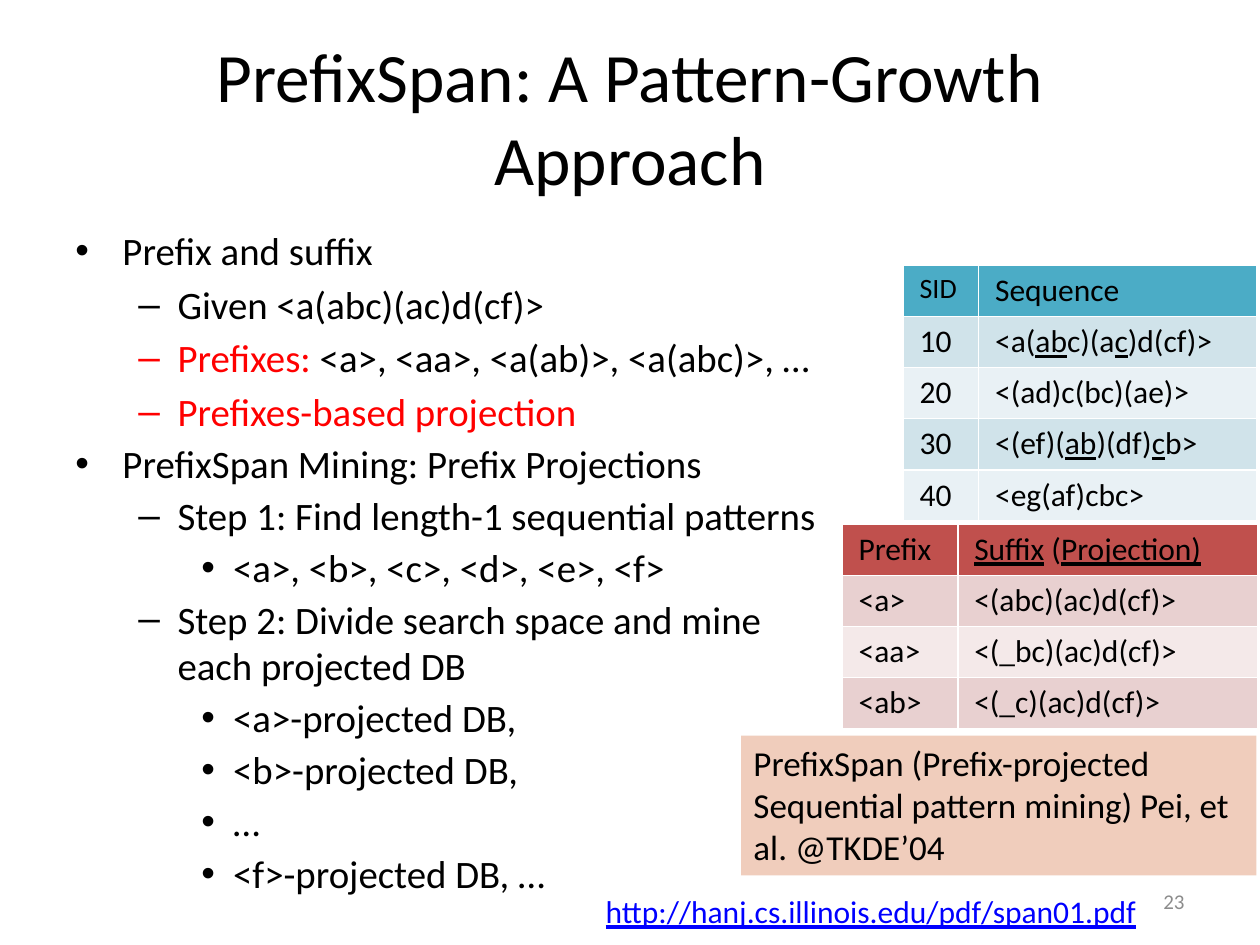
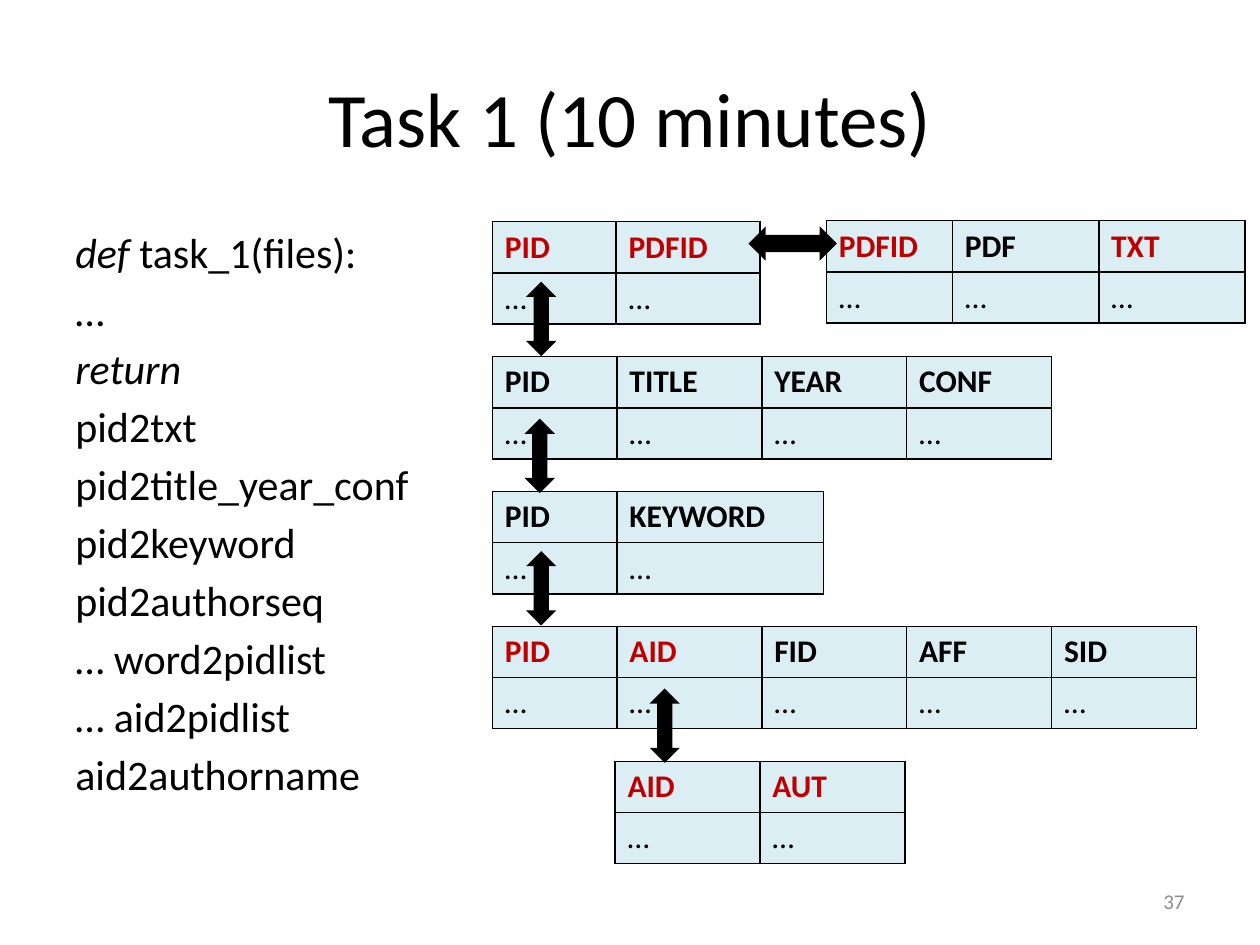
import pptx
import pptx.dml.color
import pptx.enum.shapes
import pptx.enum.text
import pptx.oxml
import pptx.oxml.ns
import pptx.util
from lxml import etree

Cm, Pt = pptx.util.Cm, pptx.util.Pt
ALIGN = pptx.enum.text.PP_ALIGN
ANCHOR = pptx.enum.text.MSO_ANCHOR
SHAPE = pptx.enum.shapes.MSO_SHAPE

FONT = "Calibri"
COLORS = {
    "black": "000000", "white": "FFFFFF", "grey": "8C8C8C",
    "red": "FF0000", "dark_red": "C00000", "link": "0000FF",
    "teal": "4BACC6", "teal_band": "D0E3EA", "teal_light": "E9F1F5",
    "brick": "C0504D", "brick_band": "E8D0D0", "brick_light": "F4E9E9",
    "peach": "F0CDBC", "schema": "DBEEF4",
}
ROW_HEIGHT = 1.03
# Bullet, left margin and hanging indent (cm) of each outline level
LEVELS = [("•", 0.95, 0.95), ("–", 2.06, 0.79), ("•", 3.18, 0.64)]


def rgb(name):
    return pptx.dml.color.RGBColor.from_string(COLORS[name])


def add_run(p, text, size=18, color="black", bold=False, italic=False,
            underline=False):
    r = p.add_run()
    r.text = text
    f = r.font
    f.name, f.size, f.bold, f.italic = FONT, Pt(size), bold, italic
    f.underline = underline
    f.color.rgb = rgb(color)


def write(p, content, align=ALIGN.LEFT, before=0, **fmt):
    """Fill a paragraph with a string or with a list of (text, format) runs."""
    p.alignment = align
    p.space_before = Pt(before)
    runs = [(content, {})] if isinstance(content, str) else content
    for text, own in runs:
        add_run(p, text, **{**fmt, **own})


def add_text(s, box, paragraphs, anchor=ANCHOR.TOP, wrap=True, gap=0, **fmt):
    tf = s.shapes.add_textbox(*map(Cm, box)).text_frame
    tf.word_wrap = wrap
    tf.vertical_anchor = anchor
    for i, content in enumerate(paragraphs):
        p = tf.paragraphs[0] if i == 0 else tf.add_paragraph()
        write(p, content, before=gap if i else 0, **fmt)
    return tf


def set_bullet(p, level):
    char, margin, hang = LEVELS[level]
    pPr = p._p.get_or_add_pPr()
    pPr.set("marL", str(Cm(margin)))
    pPr.set("indent", str(-Cm(hang)))
    font = etree.SubElement(pPr, pptx.oxml.ns.qn("a:buFont"))
    font.set("typeface", "Arial")
    etree.SubElement(pPr, pptx.oxml.ns.qn("a:buChar")).set("char", char)


def add_outline(s, box, items, size):
    """Items are (level, space before, content)."""
    tf = s.shapes.add_textbox(*map(Cm, box)).text_frame
    tf.word_wrap = True
    for i, (level, before, content) in enumerate(items):
        p = tf.paragraphs[0] if i == 0 else tf.add_paragraph()
        set_bullet(p, level)
        write(p, content, before=before if i else 0, size=size)


def set_borders(cell, color):
    tcPr = cell._tc.get_or_add_tcPr()
    for side in ("lnL", "lnR", "lnT", "lnB"):
        tcPr.append(pptx.oxml.parse_xml(
            f'<a:{side} {pptx.oxml.ns.nsdecls("a")} w="12700"><a:solidFill>'
            f'<a:srgbClr val="{COLORS[color]}"/></a:solidFill></a:{side}>'))


def add_table(s, left, top, widths, rows, fills, border, inset=0.25):
    frame = s.shapes.add_table(
        len(rows), len(widths), Cm(left), Cm(top), Cm(sum(widths)),
        Cm(ROW_HEIGHT * len(rows)))
    table = frame.table
    table.first_row = table.horz_banding = False
    for column, width in zip(table.columns, widths):
        column.width = Cm(width)
    for i, (row, fill) in enumerate(zip(rows, fills)):
        table.rows[i].height = Cm(ROW_HEIGHT)
        for j, content in enumerate(row):
            cell = table.cell(i, j)
            cell.margin_left = cell.margin_right = Cm(inset)
            set_borders(cell, border)
            cell.fill.solid()
            cell.fill.fore_color.rgb = rgb(fill)
            write(cell.text_frame.paragraphs[0], content)


def add_schema(s, left, top, widths, fields, keys=()):
    """A relation: bold field names, key fields in red, one row of dots."""
    header = [[(name, {"bold": True,
                       "color": "dark_red" if name in keys else "black"})]
              for name in fields]
    add_table(s, left, top, widths, [header, ["…"] * len(fields)],
              ["schema"] * 2, "black")


def add_solid(s, kind, box, fill):
    sp = s.shapes.add_shape(kind, *map(Cm, box))
    sp.shadow.inherit = False
    sp.fill.solid()
    sp.fill.fore_color.rgb = rgb(fill)
    sp.line.fill.background()
    return sp


def add_arrow(s, cx, cy, length=1.5, width=0.61, rotation=90):
    box = (cx - length / 2, cy - width / 2, length, width)
    add_solid(s, SHAPE.LEFT_RIGHT_ARROW, box, "black").rotation = rotation


def add_slide(prs, title, number, title_size=44):
    s = prs.slides.add_slide(prs.slide_layouts[6])
    add_text(s, (1.27, 0.76, 22.86, 3.18), [title], anchor=ANCHOR.MIDDLE,
             align=ALIGN.CENTER, size=title_size)
    add_text(s, (18.2, 17.65, 5.93, 1.02), [number], anchor=ANCHOR.MIDDLE,
             align=ALIGN.RIGHT, size=12, color="grey")
    return s


def prefixspan_slide(prs):
    s = add_slide(prs, "PrefixSpan: A Pattern-Growth Approach", "23", 39.6)
    red, under = {"color": "red"}, {"underline": True}

    # Outline
    add_outline(s, (1.27, 4.45, 15.7, 14.22), [
        (0, 0, "Prefix and suffix"),
        (1, 4, "Given <a(abc)(ac)d(cf)>"),
        (1, 4, [("Prefixes:", red),
                (" <a>, <aa>, <a(ab)>, <a(abc)>, …", {})]),
        (1, 4, [("Prefixes-based projection", red)]),
        (0, 3, "PrefixSpan Mining: Prefix Projections"),
        (1, 3, "Step 1: Find length-1 sequential patterns"),
        (2, 3, "<a>, <b>, <c>, <d>, <e>, <f>"),
        (1, 3, "Step 2: Divide search space and mine each projected DB"),
        (2, 3, "<a>-projected DB,"),
        (2, 3, "<b>-projected DB,"),
        (2, 3, "…"),
        (2, 3, "<f>-projected DB, …"),
    ], size=22.2)

    # Sequence database
    add_table(s, 18.21, 5.35, [1.52, 5.61], [
        [[("SID", {"size": 16})], "Sequence"],
        ["10", [("<a(", {}), ("ab", under), ("c)(a", {}), ("c", under),
                (")d(cf)>", {})]],
        ["20", "<(ad)c(bc)(ae)>"],
        ["30", [("<(ef)(", {}), ("ab", under), (")(df)", {}), ("c", under),
                ("b>", {})]],
        ["40", "<eg(af)cbc>"],
    ], ["teal"] + ["teal_band", "teal_light"] * 2, "white", inset=0.33)

    # Prefix projections
    add_table(s, 16.98, 10.57, [2.33, 6.05], [
        ["Prefix", [("Suffix", under), (" (", {}), ("Projection)", under)]],
        ["<a>", "<(abc)(ac)d(cf)>"],
        ["<aa>", "<(_bc)(ac)d(cf)>"],
        ["<ab>", "<(_c)(ac)d(cf)>"],
    ], ["brick", "brick_band", "brick_light", "brick_band"], "white",
        inset=0.33)

    # Reference
    box = (14.94, 14.83, 10.39, 2.82)
    add_solid(s, SHAPE.RECTANGLE, box, "peach")
    add_text(s, box, ["PrefixSpan (Prefix-projected Sequential pattern "
                      "mining) Pei, et al. @TKDE’04"], size=20)
    add_text(s, (11.96, 17.86, 11.2, 1.02),
             ["http://hanj.cs.illinois.edu/pdf/span01.pdf"],
             wrap=False, color="link", underline=True)


def task_slide(prs):
    s = add_slide(prs, "Task 1 (10 minutes)", "37")
    italic = {"italic": True}

    # Function sketch
    add_text(s, (1.27, 4.45, 22.86, 12.57), [
        [("def ", italic), ("task_1(files):", {})],
        "…",
        [("return", italic)],
        "pid2txt", "pid2title_year_conf", "pid2keyword", "pid2authorseq",
        "… word2pidlist", "… aid2pidlist", "aid2authorname",
    ], gap=4.3, size=24)

    # Relations, stacked at an equal pitch
    left, top, pitch, key, field = 9.93, 4.47, 2.72, 2.51, 2.92
    add_schema(s, 16.66, 4.45, [2.54, 2.95, 2.95], ["PDFID", "PDF", "TXT"],
               keys=["PDFID", "TXT"])
    stack = [
        (left, [2.49, 2.9], ["PID", "PDFID"], ["PID", "PDFID"]),
        (left, [key] + [field] * 3, ["PID", "TITLE", "YEAR", "CONF"], []),
        (left, [key, 4.16], ["PID", "KEYWORD"], []),
        (left, [key] + [field] * 4, ["PID", "AID", "FID", "AFF", "SID"],
         ["PID", "AID"]),
        (12.4, [field] * 2, ["AID", "AUT"], ["AID", "AUT"]),
    ]
    for i, (x, widths, fields, keys) in enumerate(stack):
        add_schema(s, x, top + i * pitch, widths, fields, keys)

    # Joins between relations
    add_arrow(s, 15.98, 4.91, length=1.78, width=0.69, rotation=0)
    for cx, cy in [(10.91, 6.43), (10.88, 9.19), (10.91, 11.86),
                   (13.4, 14.63)]:
        add_arrow(s, cx, cy)


def main():
    prs = pptx.Presentation()
    prs.slide_width, prs.slide_height = Cm(25.4), Cm(19.05)
    prefixspan_slide(prs)
    task_slide(prs)
    prs.save("out.pptx")


if __name__ == "__main__":
    main()
